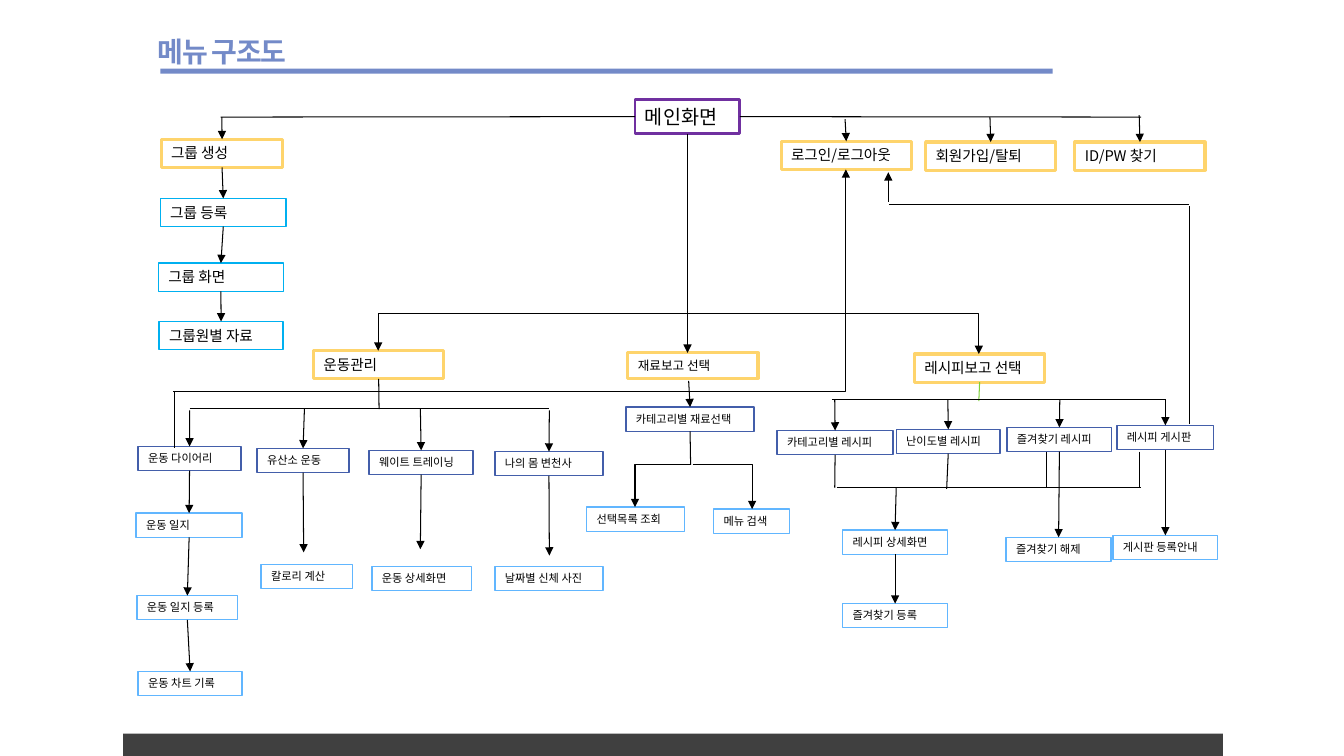
from lxml import etree
from pptx import Presentation
from pptx.dml.color import RGBColor
from pptx.enum.shapes import MSO_CONNECTOR, MSO_SHAPE
from pptx.enum.text import MSO_ANCHOR, MSO_AUTO_SIZE, PP_ALIGN
from pptx.oxml.ns import qn
from pptx.util import Cm, Pt

RECT = MSO_SHAPE.RECTANGLE
STRAIGHT, ELBOW = MSO_CONNECTOR.STRAIGHT, MSO_CONNECTOR.ELBOW
TOP, MIDDLE = MSO_ANCHOR.TOP, MSO_ANCHOR.MIDDLE
GROW, LEFT = MSO_AUTO_SIZE.SHAPE_TO_FIT_TEXT, PP_ALIGN.LEFT
FONT = "Noto Sans CJK KR"
BLACK, BLUE = "000000", "738AC8"
UP, WEST, DOWN, EAST = range(4)

# Box kinds: line colour, line width, text size, height
KINDS = {
    "main": ("7030A0", 2, 14, 0.34),
    "gold": ("FED46C", 2.25, 10.5, 0.28),
    "small": ("FED46C", 2.25, 9, 0.25),
    "cyan": ("00B0F0", 1, 10.5, 0.28),
    "navy": ("435EAA", 1, 8, 0.24),
    "sky": ("61B6FF", 1, 8, 0.24),
}

# Boxes of each kind: text, left, top, width
BOXES = {
    "main": [("메인화면", 6.3, 0.99, 1.04)],
    "gold": [
        ("로그인/로그아웃", 7.75, 1.4, 1.29), ("회원가입/탈퇴", 9.18, 1.41, 1.29),
        ("ID/PW 찾기", 10.66, 1.41, 1.29), ("운동관리", 3.11, 3.48, 1.29),
        ("레시피보고 선택", 9.07, 3.51, 1.29), ("그룹 생성", 1.6, 1.38, 1.21)],
    "small": [("재료보고 선택", 6.23, 3.5, 1.29)],
    "cyan": [
        ("그룹 등록", 1.59, 1.97, 1.25), ("그룹 화면", 1.57, 2.61, 1.24),
        ("그룹원별 자료", 1.58, 3.19, 1.23)],
    "navy": [
        ("카테고리별 재료선택", 6.21, 4.04, 1.27), ("카테고리별 레시피", 7.71, 4.27, 1.15),
        ("난이도별 레시피", 8.89, 4.26, 1.03), ("즐겨찾기 레시피", 9.99, 4.24, 1.04),
        ("레시피 게시판", 11.08, 4.22, 0.96), ("운동 다이어리", 1.37, 4.43, 1.02),
        ("유산소 운동", 2.55, 4.45, 0.91), ("웨이트 트레이닝", 3.66, 4.47, 1.03),
        ("나의 몸 변천사", 4.91, 4.48, 1.07)],
    "sky": [
        ("선택목록 조회", 5.82, 5.03, 0.97), ("메뉴 검색", 7.08, 5.05, 0.75),
        ("즐겨찾기 해제", 9.98, 5.33, 1.04), ("게시판 등록안내", 11.04, 5.31, 1.04),
        ("레시피 상세화면", 8.36, 5.26, 1.04), ("즐겨찾기 등록", 8.36, 5.99, 1.04),
        ("운동 일지", 1.35, 5.09, 1.05), ("운동 일지 등록", 1.36, 5.91, 1),
        ("운동 차트 기록", 1.37, 6.66, 1.03), ("칼로리 계산", 2.59, 5.6, 0.91),
        ("운동 상세화면", 3.69, 5.62, 0.99), ("날짜별 신체 사진", 4.91, 5.62, 1.07)],
}

# Arrows: an end is a point or the name of a box (bottom side to top side)
ARROWS = [
    ((9.82, 1.16), "회원가입/탈퇴"), ((11.3, 1.14), "ID/PW 찾기"),
    ((8.38, 1.18), "로그인/로그아웃"), ("메인화면", (6.82, 3.5)),
    ((6.83, 3.78), "카테고리별 재료선택"),
    ((8.28, 3.97), "카테고리별 레시피"), ((9.4, 3.96), "난이도별 레시피"),
    ((10.51, 3.97), "즐겨찾기 레시피"), ((11.56, 3.96), "레시피 게시판"),
    ("레시피 게시판", "게시판 등록안내"), ("즐겨찾기 레시피", "즐겨찾기 해제"),
    ((8.89, 4.84), "레시피 상세화면"), ("레시피 상세화면", "즐겨찾기 등록"),
    ((2.2, 1.16), "그룹 생성"), ("그룹 생성", "그룹 등록"),
    ("그룹 등록", "그룹 화면"), ("그룹 화면", "그룹원별 자료"),
    ((1.88, 4.07), "운동 다이어리"), ((3.02, 4.05), "유산소 운동"),
    ((4.17, 4.05), "웨이트 트레이닝"), ((5.45, 4.07), "나의 몸 변천사"),
    ("유산소 운동", (3.01, 5.48)), ("웨이트 트레이닝", (4.17, 5.45)),
    ("나의 몸 변천사", (5.45, 5.51)), ("운동 다이어리", "운동 일지"),
    ("운동 일지", "운동 일지 등록"), ("운동 일지 등록", "운동 차트 기록"),
    ((8.81, 2), (8.81, 1.71)),
]

# Plain lines
LINES = [
    ("카테고리별 재료선택", (6.85, 4.61)), ((8.25, 3.96), (11.56, 3.96)),
    ("카테고리별 레시피", (8.28, 4.84)), ("난이도별 레시피", (9.39, 4.85)),
    ((10.38, 4.48), (10.38, 4.83)), ((11.3, 4.48), (11.3, 4.84)),
    ((8.3, 4.84), (11.32, 4.84)), ("운동관리", (3.76, 4.06)),
    ((1.88, 4.05), (5.45, 4.05)), ((1.73, 3.88), (1.73, 4.45)),
    ((11.8, 4.21), (11.8, 2.04)), ((11.79, 2.03), (8.82, 2.03)),
]

# Bent arrows, each running across and then up or down
BENDS = [
    ((6.72, 3.11), (9.71, 3.51)), ((6.74, 3.11), (3.75, 3.48)),
    ((6.86, 4.61), (6.3, 5.03)), ((6.87, 4.61), (7.46, 5.05)),
    ((1.72, 3.88), (8.39, 1.68)),
]


def cm(*sizes):
    """Turn inches into Cm lengths."""
    return [Cm(round(size * 2.54, 2)) for size in sizes]


def paint(hue):
    return RGBColor.from_string(hue)


def write(frame, text, size=8, hue=BLACK, bold=False, space=None, track=None):
    para = frame.paragraphs[0]
    para.alignment = LEFT
    if space:
        para.line_spacing = space
    run = para.add_run()
    run.text = text
    font = run.font
    font.size, font.bold, font.name = Pt(size), bold, FONT
    font.color.rgb = paint(hue)
    props = run._r.get_or_add_rPr()
    etree.SubElement(props, qn("a:ea")).set("typeface", FONT)
    if track:
        props.set("spc", str(track * 100))


def add_rect(slide, place, fill=None, edge=None, width=1):
    rect = slide.shapes.add_shape(RECT, *cm(*place))
    rect.shadow.inherit = False
    if fill:
        rect.fill.solid()
        rect.fill.fore_color.rgb = paint(fill)
    else:
        rect.fill.background()
    if edge:
        rect.line.color.rgb = paint(edge)
        rect.line.width = Pt(width)
    else:
        rect.line.fill.background()
    return rect


def add_box(slide, kind, text, left, top, wide):
    edge, width, size, high = KINDS[kind]
    fill = "FFFFFF" if kind == "main" else None
    box = add_rect(slide, (left, top, wide, high), fill, edge, width)
    frame = box.text_frame
    frame.word_wrap, frame.auto_size = True, GROW
    frame.vertical_anchor = TOP
    write(frame, text, size=size)
    return box


def add_link(slide, boxes, start, end, head=True, hue=BLACK, bent=False, side=DOWN):
    # A joined end starts at zero and is moved to its box
    first, last = boxes.get(start), boxes.get(end)
    spot = cm(*((0, 0) if first else start))
    goal = cm(*((0, 0) if last else end))
    link = slide.shapes.add_connector(ELBOW if bent else STRAIGHT, *spot, *goal)
    if first:
        link.begin_connect(first, side)
    if last:
        link.end_connect(last, UP)
    link.line.color.rgb = paint(hue)
    link.line.width = Pt(0.75)
    props = link.element.spPr
    if bent:
        props.find(qn("a:prstGeom")).set("prst", "bentConnector2")
    if head:
        etree.SubElement(props.find(qn("a:ln")), qn("a:tailEnd")).set("type", "triangle")
    etree.SubElement(props, qn("a:effectLst"))


def add_title(slide):
    title = slide.shapes.add_textbox(*cm(1.47, 0.13, 5.38, 0.59))
    frame = title.text_frame
    frame.word_wrap, frame.vertical_anchor = False, MIDDLE
    write(frame, "메뉴 구조도", size=20, hue=BLUE, bold=True, space=1.5, track=-1)


def main():
    deck = Presentation()
    deck.slide_width, deck.slide_height = cm(13.33, 7.5)
    slide = deck.slides.add_slide(deck.slide_layouts[6])

    # Footer bar, title and rule
    add_rect(slide, (1.22, 7.28, 10.91, 0.23), "404040")
    add_title(slide)
    add_rect(slide, (1.59, 0.68, 8.85, 0.05), BLUE)

    # Menu boxes
    boxes = {}
    for kind, rows in BOXES.items():
        for row in rows:
            boxes[row[0]] = add_box(slide, kind, *row)

    # Links
    add_link(slide, boxes, "메인화면", (11.32, 1.16), head=False, side=EAST)
    add_link(slide, boxes, "메인화면", (2.19, 1.16), head=False, side=WEST)
    add_link(slide, boxes, "레시피보고 선택", (9.71, 3.98), head=False, hue="7CD036")
    for start, end in ARROWS:
        add_link(slide, boxes, start, end)
    for start, end in LINES:
        add_link(slide, boxes, start, end, head=False)
    for start, end in BENDS:
        add_link(slide, boxes, start, end, bent=True)

    deck.save("out.pptx")


if __name__ == "__main__":
    main()
